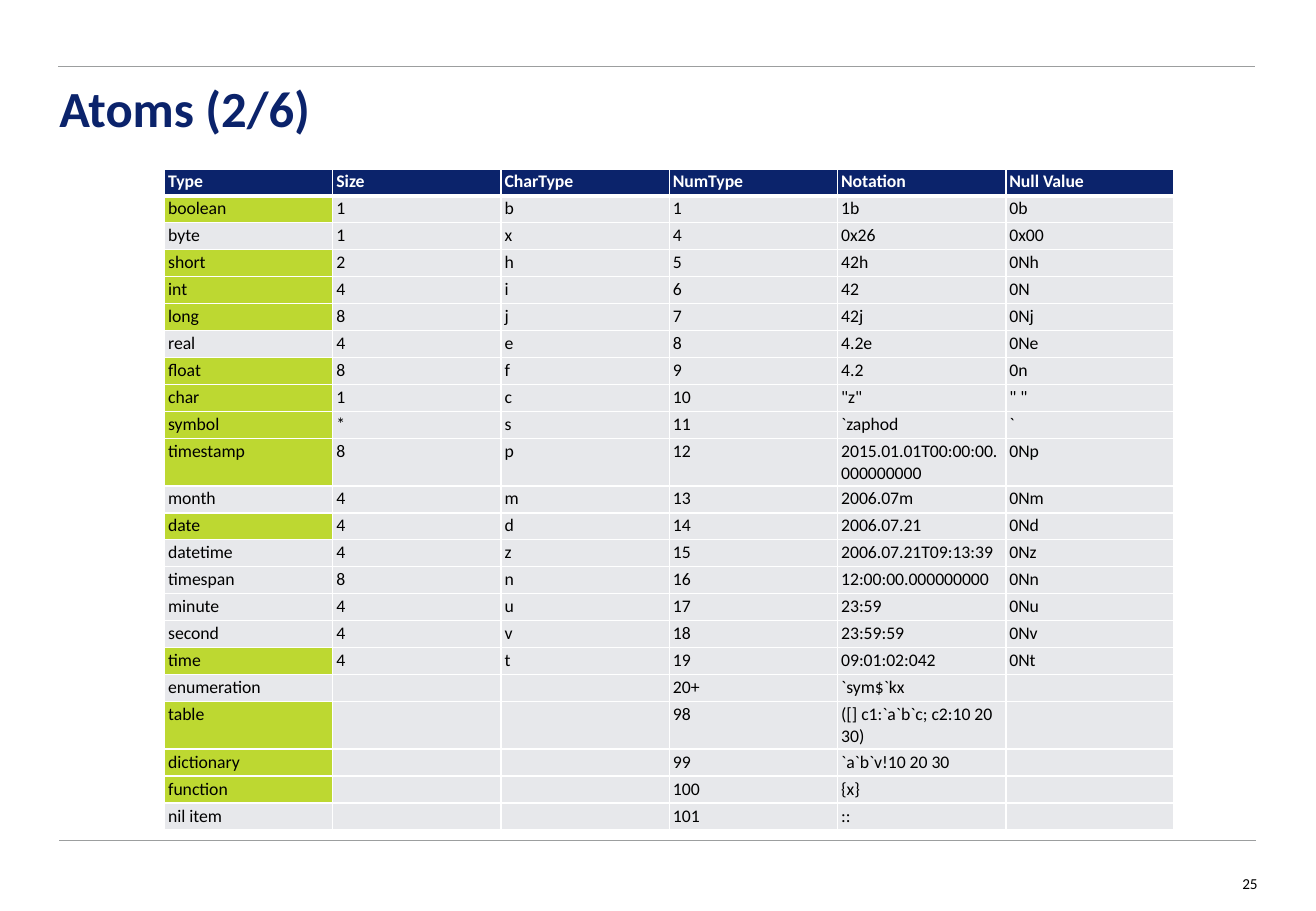
from dataclasses import dataclass

from lxml.etree import SubElement
from pptx import Presentation
from pptx.dml.color import RGBColor
from pptx.enum.shapes import MSO_CONNECTOR
from pptx.enum.text import MSO_ANCHOR, PP_ALIGN
from pptx.oxml.ns import qn
from pptx.util import Inches, Pt


@dataclass(frozen=True)
class Theme:
    font: str = "Calibri"
    navy: str = "0B236B"
    lime: str = "BDD831"
    pale: str = "E7E8EB"
    rule: str = "9C9E9F"
    white: str = "FFFFFF"
    black: str = "000000"
    title_size: float = 30
    table_size: float = 10.5
    number_size: float = 9
    rule_width: float = 0.5
    border_width: float = 1
    header_border_width: float = 3


HEADINGS = ["Type", "Size", "CharType", "NumType", "Notation", "Null Value"]
ATOMS = [
    ["boolean", "1", "b", "1", "1b", "0b"],
    ["byte", "1", "x", "4", "0x26", "0x00"],
    ["short", "2", "h", "5", "42h", "0Nh"],
    ["int", "4", "i", "6", "42", "0N"],
    ["long", "8", "j", "7", "42j", "0Nj"],
    ["real", "4", "e", "8", "4.2e", "0Ne"],
    ["float", "8", "f", "9", "4.2", "0n"],
    ["char", "1", "c", "10", '"z"', '" "'],
    ["symbol", "*", "s", "11", "`zaphod", "`"],
    ["timestamp", "8", "p", "12", "2015.01.01T00:00:00.000000000", "0Np"],
    ["month", "4", "m", "13", "2006.07m", "0Nm"],
    ["date", "4", "d", "14", "2006.07.21", "0Nd"],
    ["datetime", "4", "z", "15", "2006.07.21T09:13:39", "0Nz"],
    ["timespan", "8", "n", "16", "12:00:00.000000000", "0Nn"],
    ["minute", "4", "u", "17", "23:59", "0Nu"],
    ["second", "4", "v", "18", "23:59:59", "0Nv"],
    ["time", "4", "t", "19", "09:01:02:042", "0Nt"],
    ["enumeration", "", "", "20+", "`sym$`kx", ""],
    ["table", "", "", "98", "([] c1:`a`b`c; c2:10 20 30)", ""],
    ["dictionary", "", "", "99", "`a`b`v!10 20 30", ""],
    ["function", "", "", "100", "{x}", ""],
    ["nil item", "", "", "101", "::", ""],
]
COMMON_TYPES = {
    "boolean", "short", "int", "long", "float", "char", "symbol",
    "timestamp", "date", "time", "table", "dictionary", "function",
}


class SlideBuilder:
    """Draws styled elements placed by percentages of the slide's size."""

    def __init__(self, presentation, theme):
        self.theme = theme
        self.width = presentation.slide_width
        self.height = presentation.slide_height
        self.slide = presentation.slides.add_slide(presentation.slide_layouts[6])

    def across(self, percent):
        return round(self.width * percent / 100)

    def down(self, percent):
        return round(self.height * percent / 100)

    def box(self, left, top, width, height):
        return self.across(left), self.down(top), self.across(width), self.down(height)

    def run(self, paragraph, text, size, color, bold=False):
        run = paragraph.add_run()
        run.text = text
        run.font.name = self.theme.font
        run.font.size = Pt(size)
        run.font.bold = bold
        run.font.color.rgb = RGBColor.from_string(color)

    def rule(self, left, top, width):
        line = self.slide.shapes.add_connector(
            MSO_CONNECTOR.STRAIGHT, self.across(left), self.down(top),
            self.across(left + width), self.down(top))
        line.line.color.rgb = RGBColor.from_string(self.theme.rule)
        line.line.width = Pt(self.theme.rule_width)
        SubElement(line._element.spPr, qn("a:effectLst"))

    def text(self, place, text, size, color, bold=False,
             align=PP_ALIGN.LEFT, anchor=MSO_ANCHOR.TOP, spacing=1.0):
        frame = self.slide.shapes.add_textbox(*self.box(*place)).text_frame
        frame.word_wrap = True
        frame.vertical_anchor = anchor
        frame.margin_left = frame.margin_right = 0
        frame.margin_top = frame.margin_bottom = 0
        paragraph = frame.paragraphs[0]
        paragraph.alignment = align
        paragraph.line_spacing = spacing
        self.run(paragraph, text, size, color, bold)

    def border(self, cell, side, points):
        properties = cell._tc.get_or_add_tcPr()
        line = SubElement(properties, qn(f"a:ln{side}"), w=str(Pt(points)))
        fill = SubElement(line, qn("a:solidFill"))
        SubElement(fill, qn("a:srgbClr"), val=self.theme.white)

    def cell(self, cell, text, row, fill):
        theme = self.theme
        is_header = row == 0
        cell.margin_left = cell.margin_right = Inches(0.03)
        cell.margin_top = cell.margin_bottom = Inches(0.02)
        heavy_side = {0: "B", 1: "T"}.get(row)
        for side in "LRTB":
            is_heavy = side == heavy_side
            self.border(cell, side, theme.header_border_width if is_heavy else theme.border_width)
        cell.fill.solid()
        cell.fill.fore_color.rgb = RGBColor.from_string(fill)
        paragraph = cell.text_frame.paragraphs[0]
        if text:
            color = theme.white if is_header else theme.black
            self.run(paragraph, text, theme.table_size, color, is_header)
        else:
            SubElement(paragraph._p, qn("a:endParaRPr"), sz=str(round(theme.table_size * 100)))

    def table(self, place, headings, records, highlighted):
        rows = [headings, *records]
        place = self.box(*place)
        table = self.slide.shapes.add_table(len(rows), len(headings), *place).table
        table.horz_banding = False
        for column in table.columns:
            column.width = place[2] // len(headings)
        for row, values in enumerate(rows):
            table.rows[row].height = place[3] // len(rows)
            for column, text in enumerate(values):
                fill = self.theme.pale
                if row == 0:
                    fill = self.theme.navy
                elif column == 0 and text in highlighted:
                    fill = self.theme.lime
                self.cell(table.cell(row, column), text, row, fill)


def main():
    presentation = Presentation()
    presentation.slide_width = Inches(10.83)
    presentation.slide_height = Inches(7.5)
    theme = Theme()
    builder = SlideBuilder(presentation, theme)
    builder.rule(4.52, 92.27, 90.95)
    builder.rule(4.43, 7.33, 90.95)
    builder.text((4.52, 9.2, 90.86, 11.87), "Atoms (2/6)",
                 theme.title_size, theme.navy, bold=True, spacing=0.9)
    builder.text((91.41, 96.13, 4.16, 1.6), "25", theme.number_size, theme.black,
                 align=PP_ALIGN.RIGHT, anchor=MSO_ANCHOR.MIDDLE)
    builder.table((12.5, 18.53, 76.73, 68.13), HEADINGS, ATOMS, COMMON_TYPES)
    presentation.save("out.pptx")


if __name__ == "__main__":
    main()
